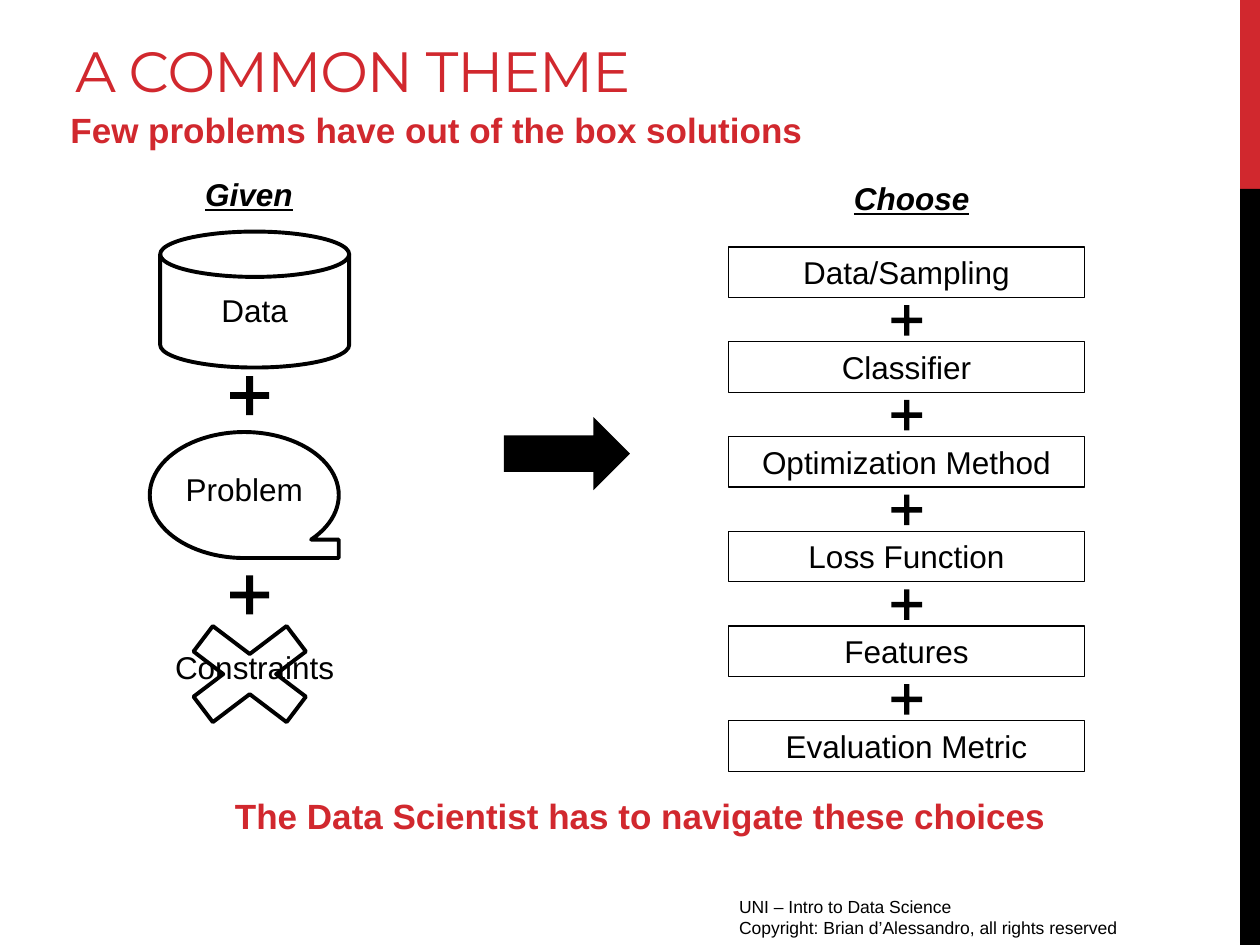
from pptx import Presentation
from pptx.dml.color import RGBColor
from pptx.enum.shapes import MSO_SHAPE as Shape
from pptx.enum.text import MSO_ANCHOR as Anchor, PP_ALIGN as Align
from pptx.util import Cm, Pt

RED, BLACK = "D1282E", "000000"
CHOICES = ["Data/Sampling", "Classifier", "Optimization Method",
           "Loss Function", "Features", "Evaluation Metric"]
CHOICE_TOP, CHOICE_PITCH = 4.98, 1.91


def color(hex_code):
    return RGBColor.from_string(hex_code)


def write(shape, text, size=18, ink=BLACK, align=Align.CENTER,
          anchor=Anchor.TOP, font="Arial", bold=False, heading=False):
    """Fill a shape with text, one paragraph a line; a heading is underlined."""
    frame = shape.text_frame
    frame.word_wrap = True
    frame.vertical_anchor = anchor
    frame.text = text
    for paragraph in frame.paragraphs:
        paragraph.alignment = align
        paragraph.font.name = font
        paragraph.font.size = Pt(size)
        paragraph.font.color.rgb = color(ink)
        paragraph.font.bold = bold or heading
        paragraph.font.italic = heading
        paragraph.font.underline = heading


def add_text(shapes, text, left, top, width, height, **style):
    box = shapes.add_textbox(Cm(left), Cm(top), Cm(width), Cm(height))
    write(box, text, **style)
    return box


def add_solid(shapes, kind, left, top, width, height, fill=BLACK):
    shape = shapes.add_shape(kind, Cm(left), Cm(top), Cm(width), Cm(height))
    shape.shadow.inherit = False
    shape.fill.solid()
    shape.fill.fore_color.rgb = color(fill)
    shape.line.fill.background()
    return shape


def add_outline(shapes, kind, left, top, width, height, line_width=2.25):
    shape = shapes.add_shape(kind, Cm(left), Cm(top), Cm(width), Cm(height))
    shape.shadow.inherit = False
    shape.fill.background()
    shape.line.color.rgb = color(BLACK)
    shape.line.width = Pt(line_width)
    return shape


def add_plus(shapes, left, top, size):
    plus = add_solid(shapes, Shape.MATH_PLUS, left, top, size, size)
    plus.adjustments[0] = 0.13


def add_frame(shapes):
    """Side bar, title, subtitle, conclusion and footer."""
    add_solid(shapes, Shape.RECTANGLE, 25, 0, 0.4, 3.81, RED)
    add_solid(shapes, Shape.RECTANGLE, 25, 3.81, 0.4, 15.24)
    add_text(shapes, "UNI – Intro to Data Science\n"
             "Copyright: Brian d’Alessandro, all rights reserved",
             14.65, 17.93, 9.52, 0.8, size=10, align=Align.LEFT)
    title = add_text(shapes, "A COMMON THEME", 1.27, 0.61, 16.08, 1.6,
                     size=32.4, ink=RED, align=Align.LEFT,
                     anchor=Anchor.BOTTOM, font="Montserrat")
    run = title.text_frame.paragraphs[0].runs[0]
    run.font._element.set("spc", "-60")
    add_text(shapes, "Few problems have out of the box solutions",
             1.17, 2.06, 22.02, 1.11, size=20, ink=RED, align=Align.LEFT,
             bold=True)
    add_text(shapes, "The Data Scientist has to navigate these choices",
             1.9, 15.9, 22.02, 1.11, size=20, ink=RED, bold=True)


def add_given(shapes):
    add_outline(shapes, Shape.MATH_MULTIPLY, 3.23, 12.22, 3.61, 2.74)
    add_text(shapes, "Given", 2.16, 3.4, 5.72, 1.07, heading=True)
    add_outline(shapes, Shape.FLOWCHART_MAGNETIC_DISK, 3.23, 4.67, 3.81, 2.74)
    add_outline(shapes, Shape.FLOWCHART_SEQUENTIAL_ACCESS_STORAGE,
                3.02, 8.71, 3.81, 2.54)
    for text, left, top in [("Data", 3.23, 5.74), ("Problem", 3.02, 9.35),
                            ("Constraints", 3.23, 12.93)]:
        add_text(shapes, text, left, top, 3.81, 1.02)
    for top in (7.44, 11.46):
        add_plus(shapes, 4.5, top, 1.07)


def add_choices(shapes):
    add_text(shapes, "Choose", 15.52, 3.48, 5.72, 1.07, heading=True)
    for index, choice in enumerate(CHOICES):
        top = CHOICE_TOP + index * CHOICE_PITCH
        box = add_outline(shapes, Shape.RECTANGLE, 14.68, top, 7.19, 1.02,
                          line_width=0.75)
        write(box, choice)
        if index:
            add_plus(shapes, 17.86, top - 0.85, 0.84)


def main():
    presentation = Presentation()
    presentation.slide_width, presentation.slide_height = Cm(25.4), Cm(19.05)
    slide = presentation.slides.add_slide(presentation.slide_layouts[6])
    add_frame(slide.shapes)
    add_given(slide.shapes.add_group_shape().shapes)
    add_solid(slide.shapes, Shape.RIGHT_ARROW, 10.16, 8.41, 2.54, 1.47)
    add_choices(slide.shapes)
    presentation.save("out.pptx")


if __name__ == "__main__":
    main()
